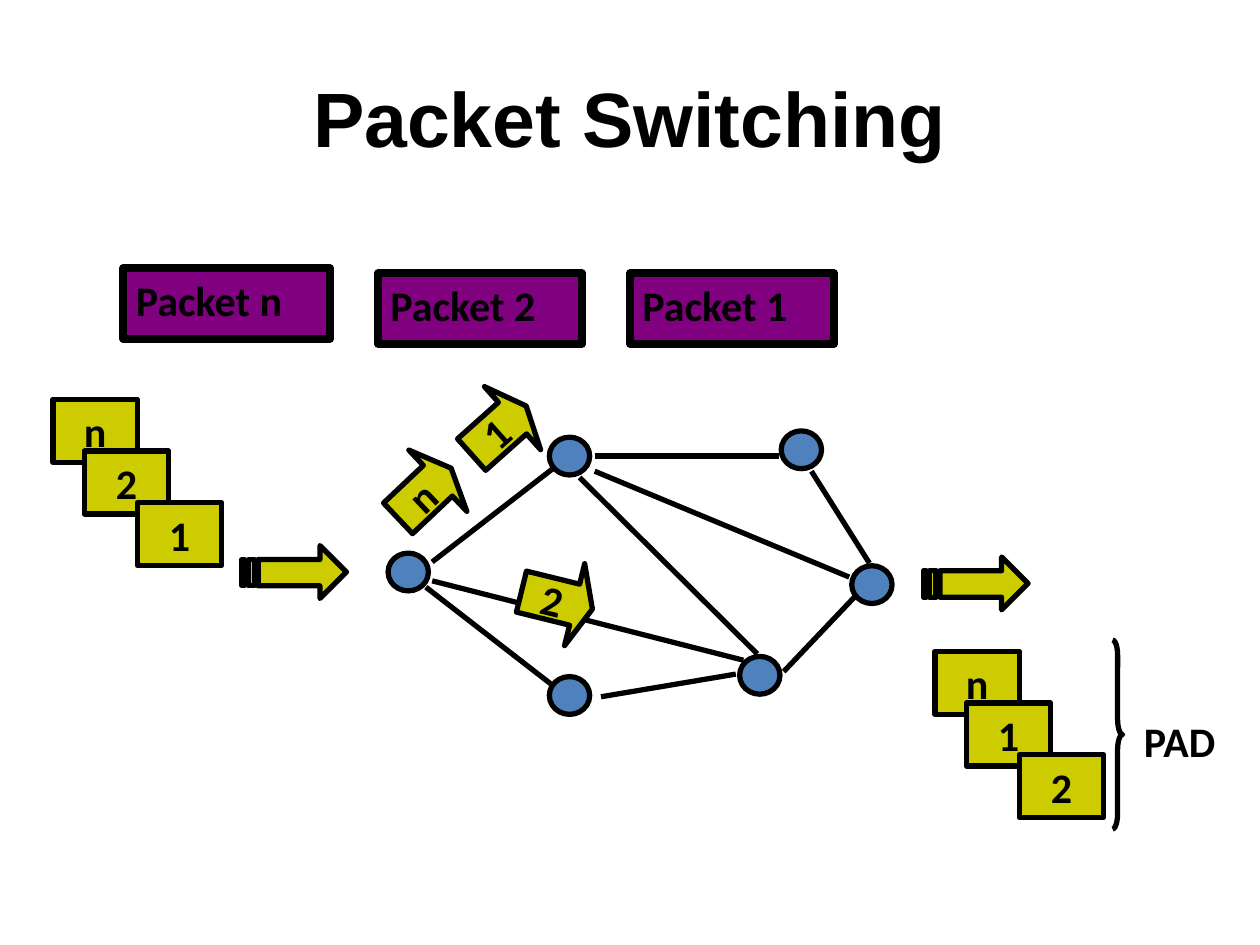
from pptx import Presentation
from pptx.dml.color import RGBColor
from pptx.enum.shapes import MSO_CONNECTOR, MSO_SHAPE
from pptx.enum.text import MSO_ANCHOR, MSO_AUTO_SIZE, PP_ALIGN
from pptx.oxml.ns import qn
from pptx.util import Inches, Pt
from lxml.etree import SubElement

BLACK = RGBColor(0x00, 0x00, 0x00)
PURPLE = RGBColor(0x80, 0x00, 0x80)
YELLOW = RGBColor(0xCC, 0xCC, 0x00)
BLUE = RGBColor(0x4F, 0x81, 0xBD)


def write_text(shape, text, *, size=24, font="Calibri", align=PP_ALIGN.CENTER,
               anchor=MSO_ANCHOR.MIDDLE, wrap=False, grow=False):
    frame = shape.text_frame
    frame.word_wrap = wrap
    frame.auto_size = MSO_AUTO_SIZE.SHAPE_TO_FIT_TEXT if grow else MSO_AUTO_SIZE.NONE
    frame.vertical_anchor = anchor
    paragraph = frame.paragraphs[0]
    paragraph.alignment = align
    run = paragraph.add_run()
    run.text = text
    run.font.size = Pt(size)
    run.font.name = font
    run.font.bold = True
    run.font.color.rgb = BLACK


class Diagram:
    """Places styled elements on one slide."""

    LABEL = {"align": PP_ALIGN.LEFT, "anchor": MSO_ANCHOR.TOP, "grow": True}

    def __init__(self, slide, line_width=3):
        self.slide = slide
        self.line_width = line_width

    def style(self, shape, fill, width=None):
        shape.shadow.inherit = False
        if fill is None:
            shape.fill.background()
        else:
            shape.fill.solid()
            shape.fill.fore_color.rgb = fill
        shape.line.color.rgb = BLACK
        shape.line.width = Pt(width or self.line_width)

    def shape(self, kind, left, top, width, height, fill=YELLOW, line_width=None):
        shape = self.slide.shapes.add_shape(
            kind, Inches(left), Inches(top), Inches(width), Inches(height))
        self.style(shape, fill, line_width)
        return shape

    def text(self, text, left, top, width, height, **text_format):
        box = self.slide.shapes.add_textbox(
            Inches(left), Inches(top), Inches(width), Inches(height))
        write_text(box, text, **text_format)

    def packet(self, text, left, top, width):
        box = self.shape(MSO_SHAPE.RECTANGLE, left, top, width, 0.56, PURPLE, 4.5)
        write_text(box, text, **self.LABEL)

    def node(self, left, top):
        self.shape(MSO_SHAPE.OVAL, left, top, 0.32, 0.3, BLUE)

    def link(self, start_x, start_y, end_x, end_y):
        line = self.slide.shapes.add_connector(
            MSO_CONNECTOR.STRAIGHT, Inches(start_x), Inches(start_y),
            Inches(end_x), Inches(end_y))
        line.line.color.rgb = BLACK
        line.line.width = Pt(self.line_width)
        SubElement(line._element.spPr, qn("a:effectLst"))

    def moving_packet(self, text, left, top, rotation):
        arrow = self.shape(MSO_SHAPE.RIGHT_ARROW, left, top, 0.58, 0.67)
        arrow.adjustments[0] = 0.5
        arrow.adjustments[1] = 0.25
        arrow.rotation = rotation
        write_text(arrow, text)

    def striped_arrow(self, left, top):
        upper, lower = 0.11, 0.32
        body = [(0.62, 0), (0.62, upper), (0.13, upper), (0.13, lower),
                (0.62, lower), (0.62, 0.42), (0.83, 0.21)]
        stripes = [[(start, upper), (start, lower), (end, lower), (end, upper)]
                   for start, end in ((0.05, 0.1), (0, 0.02))]
        builder = None
        for outline in [body] + stripes:
            points = [(Inches(left + x), Inches(top + y)) for x, y in outline]
            if builder is None:
                builder = self.slide.shapes.build_freeform(*points[0])
            else:
                builder.move_to(*points[0])
            builder.add_line_segments(points[1:], close=True)
        self.style(builder.convert_to_shape(), YELLOW)

    def card_stack(self, labels, left, top):
        offsets = [(0, 0), (0.25, 0.41), (0.67, 0.82)]
        for label, (across, down) in zip(labels, offsets):
            card = self.shape(MSO_SHAPE.RECTANGLE, left + across, top + down, 0.67, 0.5)
            write_text(card, label)

    def brace(self, left, top, width, height):
        brace = self.shape(MSO_SHAPE.RIGHT_BRACE, left, top, width, height, None)
        brace.adjustments[0] = 1.5
        brace.adjustments[1] = 0.5


def main():
    presentation = Presentation()
    presentation.slide_width = Inches(10)
    presentation.slide_height = Inches(7.5)
    diagram = Diagram(presentation.slides.add_slide(presentation.slide_layouts[6]))

    # Title
    diagram.text("Packet Switching", 0.5, 0.3, 9, 1.25, size=44, font="Arial", wrap=True)

    # Message split into packets
    diagram.packet("Packet n", 0.98, 2.13, 1.64)
    diagram.packet("Packet 1", 5, 2.17, 1.62)
    diagram.packet("Packet 2", 3, 2.17, 1.62)

    # Network
    for node in [(3.08, 4.39), (4.36, 3.47), (6.76, 4.49),
                 (6.2, 3.42), (5.87, 5.21), (4.36, 5.37)]:
        diagram.node(*node)
    for link in [(3.43, 4.46, 4.4, 3.71), (4.72, 3.62, 6.18, 3.62),
                 (4.72, 3.74, 6.74, 4.58), (6.44, 3.74, 6.9, 4.47),
                 (3.38, 4.66, 4.4, 5.45), (4.77, 5.53, 5.84, 5.35),
                 (6.22, 5.33, 6.79, 4.73), (3.43, 4.61, 5.9, 5.24),
                 (4.6, 3.79, 6.01, 5.19)]:
        diagram.link(*link)

    # Packets on their way
    diagram.striped_arrow(1.92, 4.33)
    diagram.moving_packet("n", 3.08, 3.58, 316.6)
    diagram.moving_packet("2", 4.13, 4.43, 13.8)
    diagram.moving_packet("1", 3.67, 3.08, 318.3)
    diagram.striped_arrow(7.33, 4.42)

    # Packets received and sent
    diagram.card_stack("n12", 7.42, 5.17)
    diagram.card_stack("n21", 0.42, 3.17)

    # Reassembly
    diagram.brace(8.83, 5.08, 0.08, 1.5)
    diagram.text("PAD", 8.98, 5.63, 0.91, 0.5, **Diagram.LABEL)

    presentation.save("out.pptx")


if __name__ == "__main__":
    main()
